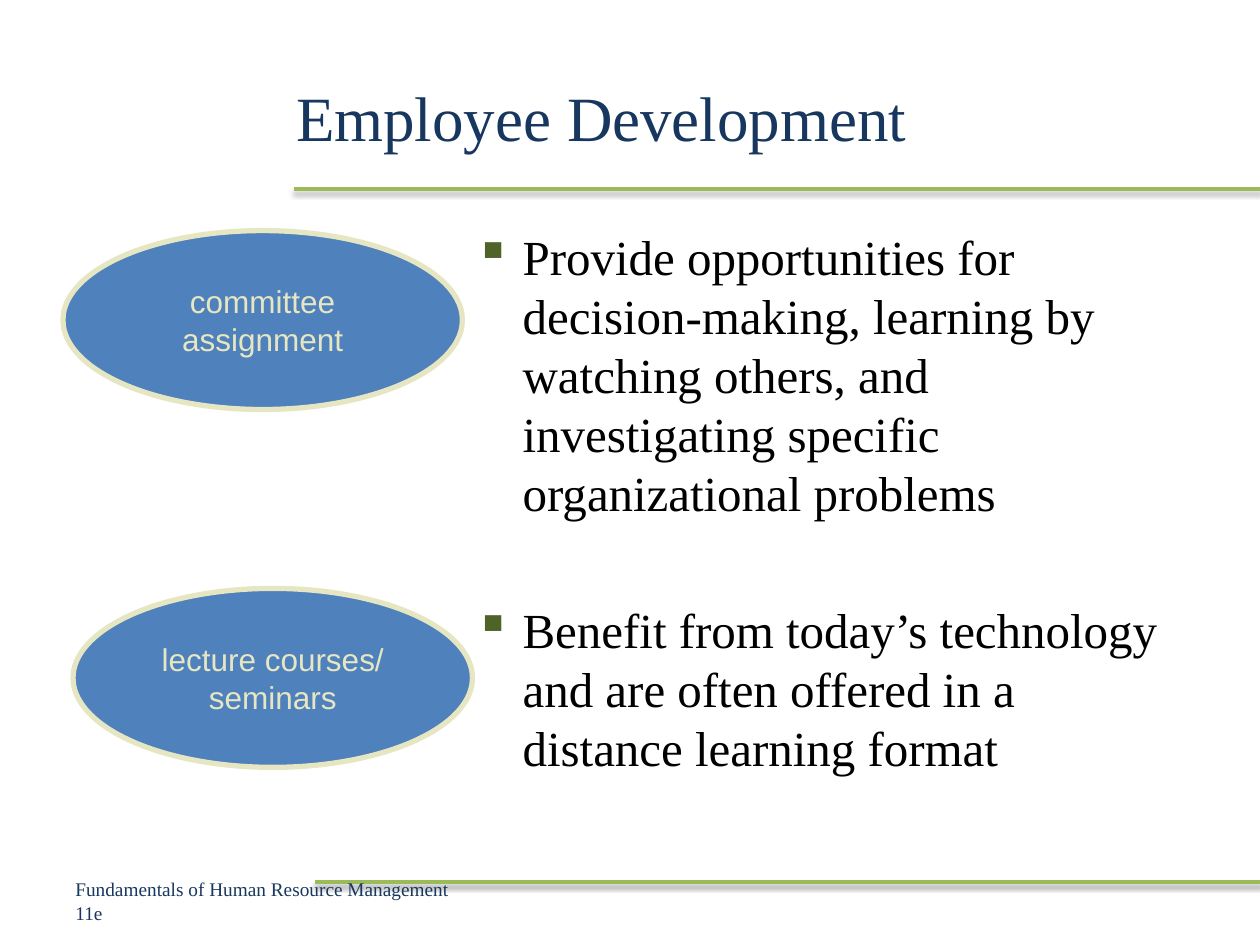
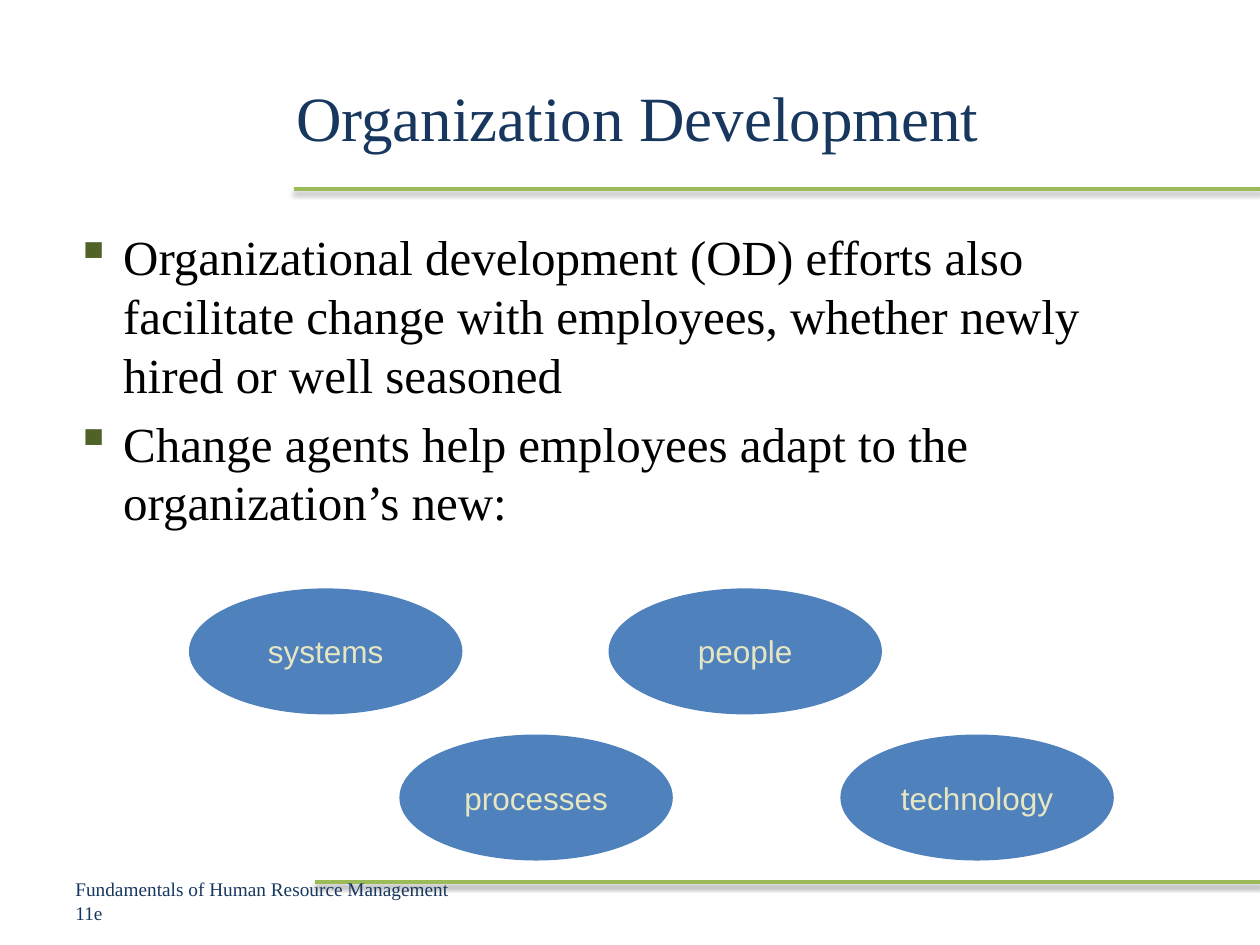
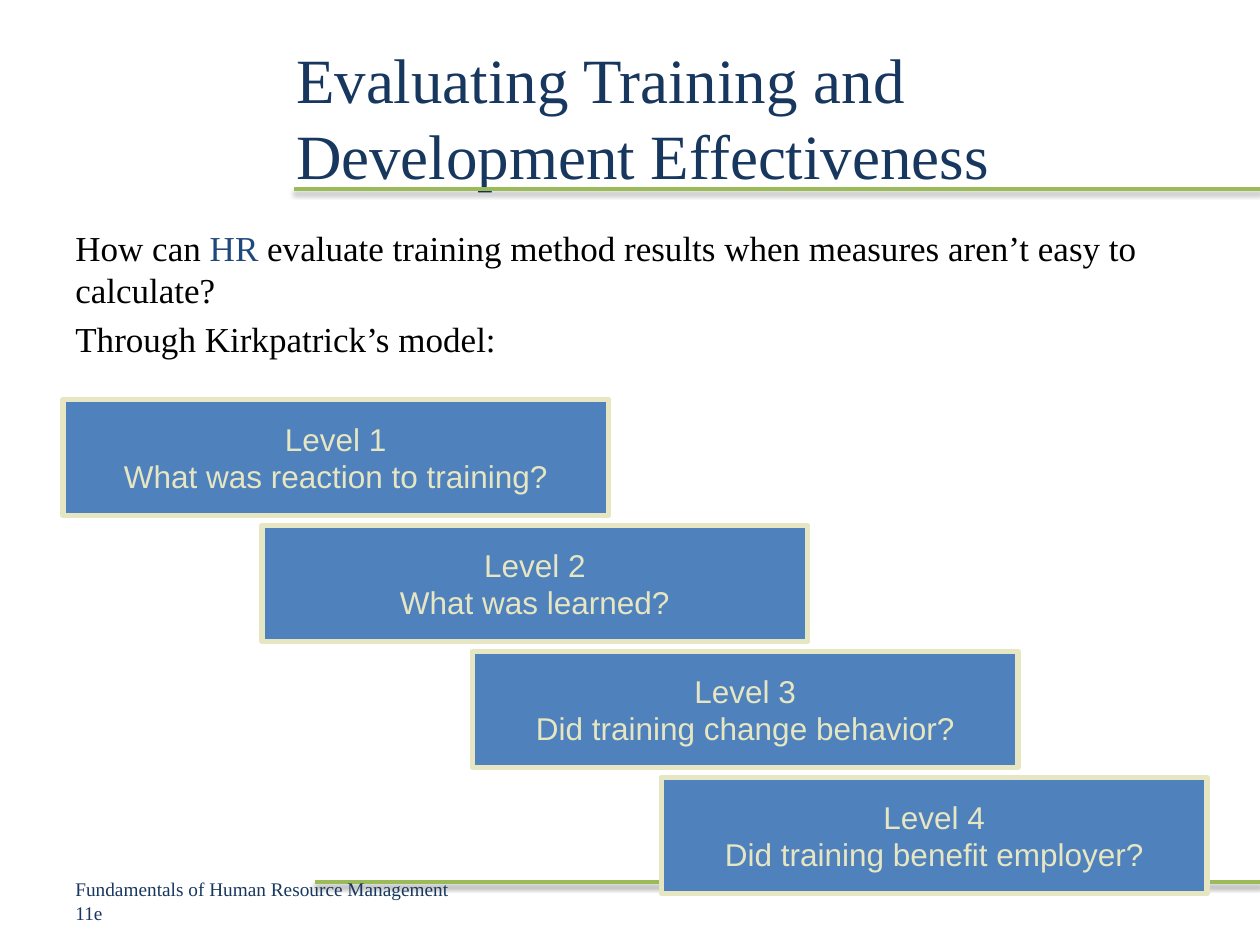
from lxml import etree
from pptx import Presentation
from pptx.dml.color import RGBColor
from pptx.enum.shapes import MSO_CONNECTOR, MSO_SHAPE
from pptx.enum.text import MSO_ANCHOR, MSO_AUTO_SIZE, PP_ALIGN
from pptx.oxml import parse_xml
from pptx.oxml.ns import nsdecls, qn
from pptx.util import Inches, Pt

COLORS = {
    "navy": "17375E", "blue": "4F81BD", "cream": "E6E6C2", "green": "9BBB59",
    "bullet": "4F6228", "black": "000000", "accent": "1F497D",
}
FORMATS = {
    "title": {"name": "Times New Roman", "size": Pt(36), "color": "navy"},
    "footer": {"name": "Times New Roman", "size": Pt(11), "color": "navy"},
    "bullet": {"name": "Times New Roman", "size": Pt(28), "color": "black"},
    "plain": {"name": "Times New Roman", "size": Pt(20), "color": "black"},
    "label": {"name": "Arial", "size": Pt(18), "color": "cream"},
}
FOOTER = "Fundamentals of Human Resource Management 11e"
RULES = [(2.33, 1.5), (2.5, 7)]  # left end and height of each green rule
SHADOW = (
    f'<a:effectLst {nsdecls("a")}><a:outerShdw blurRad="40000" dist="20000" '
    'dir="5400000" rotWithShape="0"><a:srgbClr val="000000">'
    '<a:alpha val="38000"/></a:srgbClr></a:outerShdw></a:effectLst>'
)

SLIDES = [
    {
        "title": "Employee Development",
        "body": (3.67, 1.75, 5.83, 4.95), "style": "bullet",
        "paragraphs": [
            (0, [("Provide opportunities for decision-making, learning by watching "
                  "others, and investigating specific organizational problems", "black")]),
            (45, [("Benefit from today’s technology and are often offered in a "
                   "distance learning format", "black")]),
        ],
        "shape": MSO_SHAPE.OVAL, "size": (3.17, 1.42), "outline": True,
        "labels": [
            (0.58, 4.67, "lecture courses/\nseminars"),
            (0.5, 1.83, "committee\nassignment"),
        ],
    },
    {
        "title": "Organization Development",
        "body": (0.5, 1.75, 9, 1.08), "style": "bullet",
        "paragraphs": [
            (0, [("Organizational development (OD) efforts also facilitate change "
                  "with employees, whether newly hired or well seasoned", "black")]),
            (5.6, [("Change agents help employees adapt to the organization’s new:",
                    "black")]),
        ],
        "shape": MSO_SHAPE.OVAL, "size": (2.17, 1), "outline": False,
        "labels": [
            (6.67, 5.83, "technology"), (1.5, 4.67, "systems"),
            (3.17, 5.83, "processes"), (4.83, 4.67, "people"),
        ],
    },
    {
        "title": "Evaluating Training and Development Effectiveness",
        "body": (0.5, 1.75, 9, 4.95), "style": "plain",
        "paragraphs": [
            (0, [("How can ", "black"), ("HR ", "accent"),
                 ("evaluate training method results when measures aren’t easy to "
                  "calculate?", "black")]),
            (4, [("Through Kirkpatrick’s model:", "black")]),
        ],
        "shape": MSO_SHAPE.RECTANGLE, "size": (4.33, 0.92), "outline": True,
        "labels": [
            (0.5, 3.17, "Level 1\nWhat was reaction to training?"),
            (2.08, 4.17, "Level 2\nWhat was learned?"),
            (3.75, 5.17, "Level 3\nDid training change behavior?"),
            (5.25, 6.17, "Level 4\nDid training benefit employer?"),
        ],
    },
]


def rgb(name):
    return RGBColor.from_string(COLORS[name])


def style_font(font, style, color=None):
    fmt = FORMATS[style]
    for key in ("name", "size"):
        setattr(font, key, fmt[key])
    font.color.rgb = rgb(color or fmt["color"])


prs = Presentation()
prs.slide_width, prs.slide_height = Inches(10), Inches(7.5)

for spec_row in SLIDES:
    s = prs.slides.add_slide(prs.slide_layouts[5])

    # Green rules
    for left, y in RULES:
        line = s.shapes.add_connector(
            MSO_CONNECTOR.STRAIGHT, Inches(left), Inches(y), Inches(10), Inches(y))
        line.line.color.rgb = rgb("green")
        line.line.width = Pt(2)
        line._element.spPr.append(parse_xml(SHADOW))

    # Title
    sp = s.shapes.title
    sp.left, sp.top, sp.width, sp.height = map(Inches, (2.25, 0.3, 7.25, 1.25))
    tf = sp.text_frame
    tf.text = spec_row["title"]
    tf.auto_size, tf.vertical_anchor = MSO_AUTO_SIZE.NONE, MSO_ANCHOR.MIDDLE
    tf.paragraphs[0].alignment = PP_ALIGN.LEFT
    style_font(tf.paragraphs[0].runs[0].font, "title")

    # Body text
    tf = s.shapes.add_textbox(*map(Inches, spec_row["body"])).text_frame
    tf.word_wrap = True
    for i, (space, runs) in enumerate(spec_row["paragraphs"]):
        p = tf.add_paragraph() if i else tf.paragraphs[0]
        p.space_before = Pt(space)
        if spec_row["style"] == "bullet":
            pPr = p._p.get_or_add_pPr()
            pPr.set("marL", str(Inches(0.38)))
            pPr.set("indent", str(-Inches(0.38)))
            clr = etree.SubElement(pPr, qn("a:buClr"))
            etree.SubElement(clr, qn("a:srgbClr"), val=COLORS["bullet"])
            etree.SubElement(pPr, qn("a:buChar"), char="▪")
        for text, color in runs:
            r = p.add_run()
            r.text = text
            style_font(r.font, spec_row["style"], color)

    # Footer
    tf = s.shapes.add_textbox(*map(Inches, (0.5, 6.95, 3.17, 0.4))).text_frame
    tf.text = FOOTER
    tf.word_wrap, tf.vertical_anchor = True, MSO_ANCHOR.MIDDLE
    style_font(tf.paragraphs[0].runs[0].font, "footer")

    # Labelled shapes
    for left, top, text in spec_row["labels"]:
        sp = s.shapes.add_shape(
            spec_row["shape"], *map(Inches, (left, top, *spec_row["size"])))
        sp.shadow.inherit = False
        sp.fill.solid()
        sp.fill.fore_color.rgb = rgb("blue")
        if spec_row["outline"]:
            sp.line.color.rgb = rgb("cream")
            sp.line.width = Pt(3)
        else:
            sp.line.fill.background()
        tf = sp.text_frame
        tf.text = text
        tf.word_wrap, tf.vertical_anchor = False, MSO_ANCHOR.MIDDLE
        for p in tf.paragraphs:
            p.alignment = PP_ALIGN.CENTER
            style_font(p.runs[0].font, "label")

prs.save("out.pptx")
